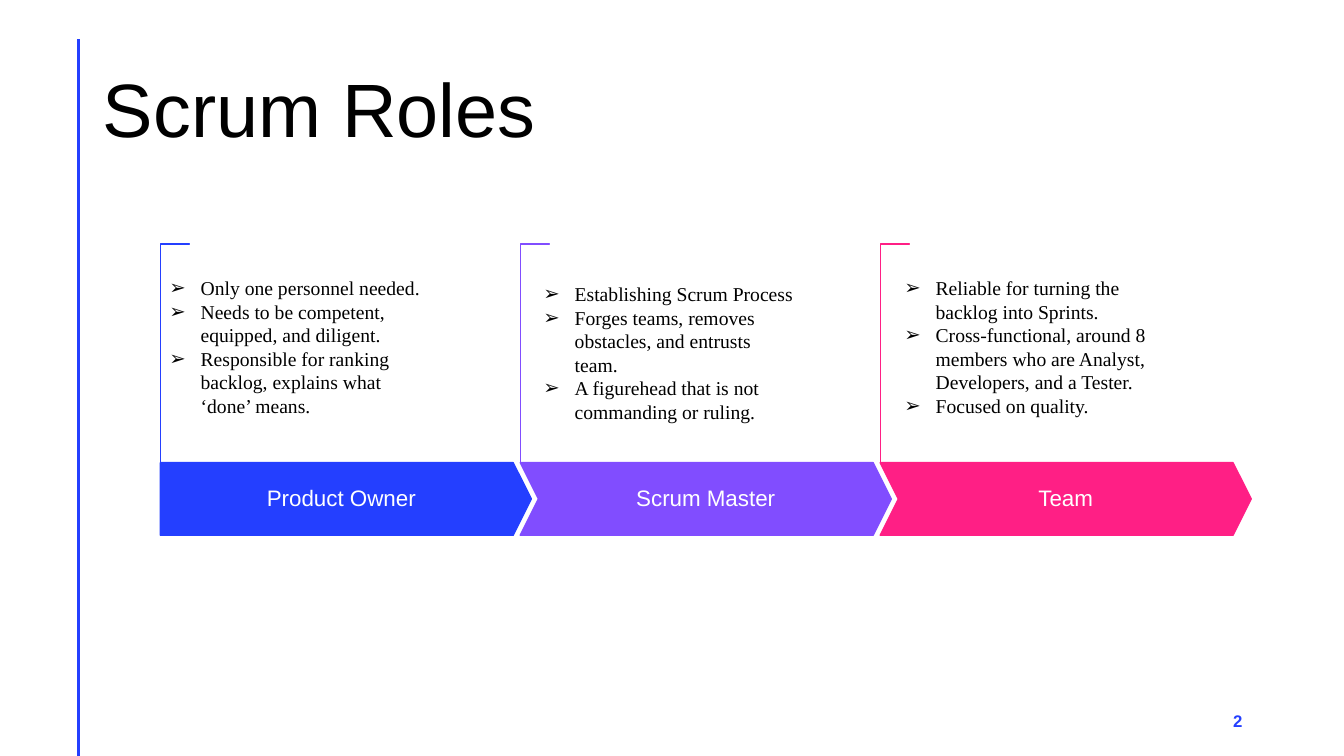
from dataclasses import dataclass

from lxml import etree
from pptx import Presentation
from pptx.dml.color import RGBColor
from pptx.enum.shapes import MSO_CONNECTOR, MSO_SHAPE
from pptx.enum.text import MSO_ANCHOR, MSO_AUTO_SIZE, PP_ALIGN
from pptx.oxml.ns import qn
from pptx.util import Inches, Pt

STRAIGHT = MSO_CONNECTOR.STRAIGHT
CORNER, PENTAGON, CHEVRON = MSO_SHAPE.CORNER, MSO_SHAPE.PENTAGON, MSO_SHAPE.CHEVRON
TOP, MIDDLE = MSO_ANCHOR.TOP, MSO_ANCHOR.MIDDLE
LEFT, CENTER, RIGHT = PP_ALIGN.LEFT, PP_ALIGN.CENTER, PP_ALIGN.RIGHT
FIT_SHAPE, NO_FIT = MSO_AUTO_SIZE.SHAPE_TO_FIT_TEXT, MSO_AUTO_SIZE.NONE
COMPARISON_LAYOUT = 4


@dataclass(frozen=True)
class Theme:
    black: RGBColor = RGBColor(0x00, 0x00, 0x00)
    white: RGBColor = RGBColor(0xFF, 0xFF, 0xFF)
    blue: RGBColor = RGBColor(0x24, 0x3F, 0xFF)
    violet: RGBColor = RGBColor(0x81, 0x4D, 0xFF)
    pink: RGBColor = RGBColor(0xFF, 0x1F, 0x85)
    sans: str = "Arial"
    serif: str = "Times New Roman"
    title_size: int = 54
    label_size: int = 16
    duty_size: int = 14
    number_size: int = 12


THEME = Theme()


@dataclass(frozen=True)
class Role:
    name: str
    color: RGBColor
    arrow: int
    duties: tuple
    duties_dx: float
    duties_dy: float
    duties_height: float


ROLES = (
    Role("Product Owner", THEME.blue, PENTAGON, (
        "Only one personnel needed.",
        "Needs to be competent, equipped, and diligent.",
        "Responsible for ranking backlog, explains what ‘done’ means.",
    ), -0.01, 0.27, 1.51),
    Role("Scrum Master", THEME.violet, CHEVRON, (
        "Establishing Scrum Process",
        "Forges teams, removes obstacles, and entrusts team.",
        "A figurehead that is not commanding or ruling.",
    ), 0.13, 0.33, 1.82),
    Role("Team", THEME.pink, CHEVRON, (
        "Reliable for turning the backlog into Sprints.",
        "Cross-functional, around 8 members who are Analyst, Developers, and a Tester.",
        "Focused on quality.",
    ), 0.14, 0.27, 1.75),
)


def place(shape, left, top, width, height):
    shape.left, shape.top = Inches(left), Inches(top)
    shape.width, shape.height = Inches(width), Inches(height)


def style(paragraph, font_name, size, color, align, bold=False):
    paragraph.alignment = align
    for run in paragraph.runs:
        font = run.font
        font.name, font.size, font.bold = font_name, Pt(size), bold
        font.color.rgb = color


def paint(shape, fill, line):
    shape.shadow.inherit = False
    shape.fill.solid()
    shape.fill.fore_color.rgb = fill
    shape.line.color.rgb = line
    shape.line.width = Pt(1)


def add_bullet(paragraph, symbol, indent):
    properties = paragraph._p.get_or_add_pPr()
    properties.set("marL", str(Inches(indent)))
    properties.set("indent", str(-Inches(indent)))
    etree.SubElement(properties, qn("a:buChar")).set("char", symbol)


def add_margin_rule(slide, x, top, bottom):
    rule = slide.shapes.add_connector(
        STRAIGHT, Inches(x), Inches(top), Inches(x), Inches(bottom))
    rule.line.color.rgb = THEME.blue
    rule.line.width = Pt(2)
    etree.SubElement(rule._element.spPr, qn("a:effectLst"))


def fill_title(title, left, top, width, height):
    place(title, left, top, width, height)
    frame = title.text_frame
    frame.text = "Scrum Roles"
    frame.vertical_anchor = MIDDLE
    frame.auto_size = NO_FIT
    heading = frame.paragraphs[0]
    heading.line_spacing = 0.9
    style(heading, THEME.sans, THEME.title_size, THEME.black, LEFT)


def add_bracket(slide, color, left, top, width, height):
    """Outline the left and top edges of the box with a corner turned by 90°."""
    bracket = slide.shapes.add_shape(
        CORNER, Inches(left + (width - height) / 2), Inches(top + (height - width) / 2),
        Inches(height), Inches(width))
    bracket.rotation = 90
    bracket.adjustments[0] = bracket.adjustments[1] = 0.01
    paint(bracket, THEME.white, color)


def add_arrow(slide, role, left, top, width, height):
    arrow = slide.shapes.add_shape(
        role.arrow, Inches(left), Inches(top), Inches(width), Inches(height))
    arrow.adjustments[0] = 0.25
    paint(arrow, role.color, role.color)
    frame = arrow.text_frame
    frame.text = role.name
    frame.vertical_anchor = MIDDLE
    frame.margin_left = frame.margin_right = Inches(0.11)
    frame.margin_top = frame.margin_bottom = Inches(0.22)
    label = frame.paragraphs[0]
    label.line_spacing = 0.9
    style(label, THEME.sans, THEME.label_size, THEME.white, CENTER)


def fill_duties(body, duties, left, top, width, height):
    place(body, left, top, width, height)
    frame = body.text_frame
    frame.text = "\n".join(duties)
    frame.vertical_anchor = TOP
    frame.auto_size = FIT_SHAPE
    for duty in frame.paragraphs:
        duty.space_before = duty.space_after = Pt(0)
        style(duty, THEME.serif, THEME.duty_size, THEME.black, LEFT)
        add_bullet(duty, "➢", 0.31)


def add_role(slide, role, body, left, top, width, height):
    arrow_height = 0.72
    bracket_height = height - arrow_height
    add_bracket(slide, role.color, left, top, 0.29, bracket_height)
    add_arrow(slide, role, left, top + bracket_height, width, arrow_height)
    fill_duties(body, role.duties, left + role.duties_dx, top + role.duties_dy,
                2.69, role.duties_height)


def add_page_number(slide, left, top, width, height):
    box = slide.shapes.add_textbox(
        Inches(left), Inches(top), Inches(width), Inches(height))
    frame = box.text_frame
    frame.word_wrap = True
    frame.text = "2"
    frame.vertical_anchor = MIDDLE
    number = frame.paragraphs[0]
    number.space_after = Pt(6)
    style(number, THEME.sans, THEME.number_size, THEME.blue, RIGHT, bold=True)


def add_roles_slide(deck):
    slide = deck.slides.add_slide(deck.slide_layouts[COMPARISON_LAYOUT])
    title, *bodies = slide.placeholders
    add_margin_rule(slide, 0.78, 0.39, 7.5)
    fill_title(title, 0.92, 0.4, 11.5, 1.45)
    pitch = 3.57
    for column, (role, body) in enumerate(zip(ROLES, bodies)):
        add_role(slide, role, body, 1.59 + column * pitch, 2.42, 3.68, 2.89)
    for spare in bodies[len(ROLES):]:
        spare._element.getparent().remove(spare._element)
    add_page_number(slide, 9.42, 6.95, 3, 0.4)


def main():
    deck = Presentation()
    deck.slide_width, deck.slide_height = Inches(13.33), Inches(7.5)
    add_roles_slide(deck)
    deck.save("out.pptx")


if __name__ == "__main__":
    main()
